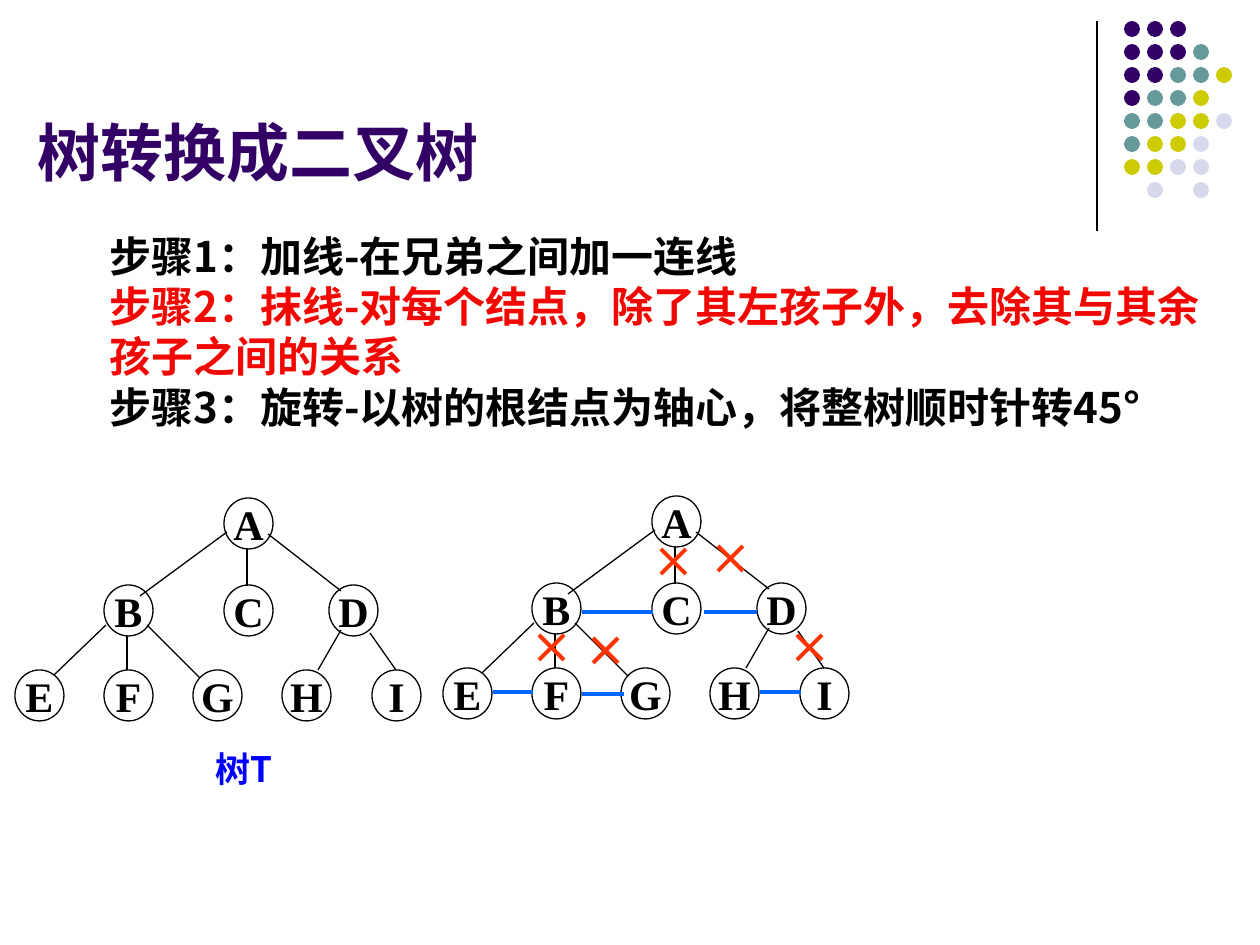
from lxml import etree
from pptx import Presentation
from pptx import util as u
from pptx.dml.color import RGBColor
from pptx.enum import shapes, text
from pptx.oxml import ns

SCALE = 914400 / 126
CJK = "Noto Sans CJK SC"
SERIF = "Times New Roman"
BLACK, PURPLE, BLUE, RED = "000000", "330066", "0066FF", "FF3300"
DOT_COLORS = {"P": PURPLE, "T": "669999", "Y": "CCCC00", "L": "D8D8EC"}
DOT_ROWS = ["PPP", "PPPT", "PPTTY", "PTTY", "TTYYL", "TYYL", "YYLL", " L L"]
NODES = {"A": (224, 498), "B": (104, 585), "C": (224, 585), "D": (329, 585),
         "E": (15, 670), "F": (104, 670), "G": (193, 670), "H": (282, 670),
         "I": (372, 670)}
EDGES = [(247, 549, 247, 586), (227, 532, 140, 596), (268, 534, 341, 591),
         (127, 636, 127, 670), (106, 625, 54, 675), (147, 625, 200, 678),
         (341, 630, 318, 670), (370, 633, 396, 670)]
SIBLING_LINKS = [(582, 653, 612), (704, 757, 612), (493, 533, 692),
                 (582, 624, 694), (760, 801, 692)]
CUTS = [(661, 549), (718, 546), (539, 635), (593, 638), (797, 635)]
STEPS = [("步骤1：加线-在兄弟之间加一连线", BLACK),
         ("步骤2：抹线-对每个结点，除了其左孩子外，去除其与其余孩子之间的关系", "F20802"),
         ("步骤3：旋转-以树的根结点为轴心，将整树顺时针转45°", BLACK)]


def px(*lengths):
    """Turn pixel lengths into EMU."""
    return [u.Emu(round(length * SCALE)) for length in lengths]


def color(value):
    """Turn a hex string into a colour."""
    return RGBColor.from_string(value)


def add_span(para, words, size, font, hue):
    """Add one bold run to a paragraph."""
    span = para.add_run()
    span.text = words
    span.font.size = u.Pt(size)
    span.font.bold = True
    span.font.name = font
    span.font.color.rgb = color(hue)
    east = etree.SubElement(span.font._element, ns.qn("a:ea"))
    east.set("typeface", CJK)


def add_text(page, place, lines, size, font, indent=0, anchor=text.MSO_ANCHOR.TOP):
    """Add a text box with one paragraph per line."""
    frame = page.shapes.add_textbox(*px(*place)).text_frame
    frame.word_wrap = True
    frame.vertical_anchor = anchor
    for index, (words, hue) in enumerate(lines):
        para = frame.add_paragraph() if index else frame.paragraphs[0]
        para.line_spacing = u.Pt(size * 1.2)
        para._p.get_or_add_pPr().set("marL", str(px(indent)[0]))
        add_span(para, words, size, font, hue)


def add_line(parent, ends, hue=BLACK, width=0.75):
    """Add a straight line without a shadow."""
    line = parent.shapes.add_connector(shapes.MSO_CONNECTOR.STRAIGHT, *px(*ends))
    line.line.color.rgb = color(hue)
    line.line.width = u.Pt(width)
    etree.SubElement(line._element.spPr, ns.qn("a:effectLst"))


def add_ellipse(parent, place):
    """Add an ellipse without a shadow."""
    ellipse = parent.shapes.add_shape(shapes.MSO_SHAPE.OVAL, *px(*place))
    ellipse.shadow.inherit = False
    return ellipse


def add_dots(page):
    """Add the corner grid of coloured dots."""
    group = page.shapes.add_group_shape()
    for row, codes in enumerate(DOT_ROWS):
        for column, code in enumerate(codes):
            if code in DOT_COLORS:
                dot = add_ellipse(group, (1124 + 23 * column, 21 + 23 * row, 16, 16))
                dot.fill.solid()
                dot.fill.fore_color.rgb = color(DOT_COLORS[code])
                dot.line.fill.background()


def add_node(parent, name, left, top):
    """Add a lettered tree node."""
    node = add_ellipse(parent, (left, top, 49, 51))
    node.fill.background()
    node.line.color.rgb = color(BLACK)
    node.line.width = u.Pt(0.75)
    frame = node.text_frame
    frame.word_wrap = False
    frame.vertical_anchor = text.MSO_ANCHOR.MIDDLE
    para = frame.paragraphs[0]
    para.alignment = text.PP_ALIGN.CENTER
    add_span(para, name, 24, SERIF, BLACK)


def add_tree(page, dx, dy):
    """Add the whole tree, shifted by dx and dy."""
    group = page.shapes.add_group_shape()
    for name, (left, top) in NODES.items():
        add_node(group, name, left + dx, top + dy)
    for x1, y1, x2, y2 in EDGES:
        add_line(group, (x1 + dx, y1 + dy, x2 + dx, y2 + dy))


def add_cut(page, left, top, side=25):
    """Add a cross over a removed edge."""
    group = page.shapes.add_group_shape()
    right, bottom = left + side, top + side
    add_line(group, (left, top, right, bottom), RED, 2.25)
    add_line(group, (right, top, left, bottom), RED, 2.25)


def main():
    """Build and save the slide."""
    deck = Presentation()
    deck.slide_width, deck.slide_height = px(1260, 945)
    page = deck.slides.add_slide(deck.slide_layouts[6])
    add_line(page, (1097, 21, 1097, 231))
    add_dots(page)
    add_text(page, (25, 16, 1040, 179), [("树转换成二叉树", PURPLE)], 36, "Arial",
             anchor=text.MSO_ANCHOR.BOTTOM)
    add_tree(page, 0, 0)
    add_text(page, (34, 224, 1191, 214), STEPS, 24, CJK, indent=63)
    add_tree(page, 428, -2)
    for start, end, y in SIBLING_LINKS:
        add_line(page, (start, y, end, y), BLUE, 2.25)
    add_text(page, (203, 741, 89, 55), [("树T", "0000FF")], 20, CJK)
    for left, top in CUTS:
        add_cut(page, left, top)


    deck.save("out.pptx")


if __name__ == "__main__":
    main()
